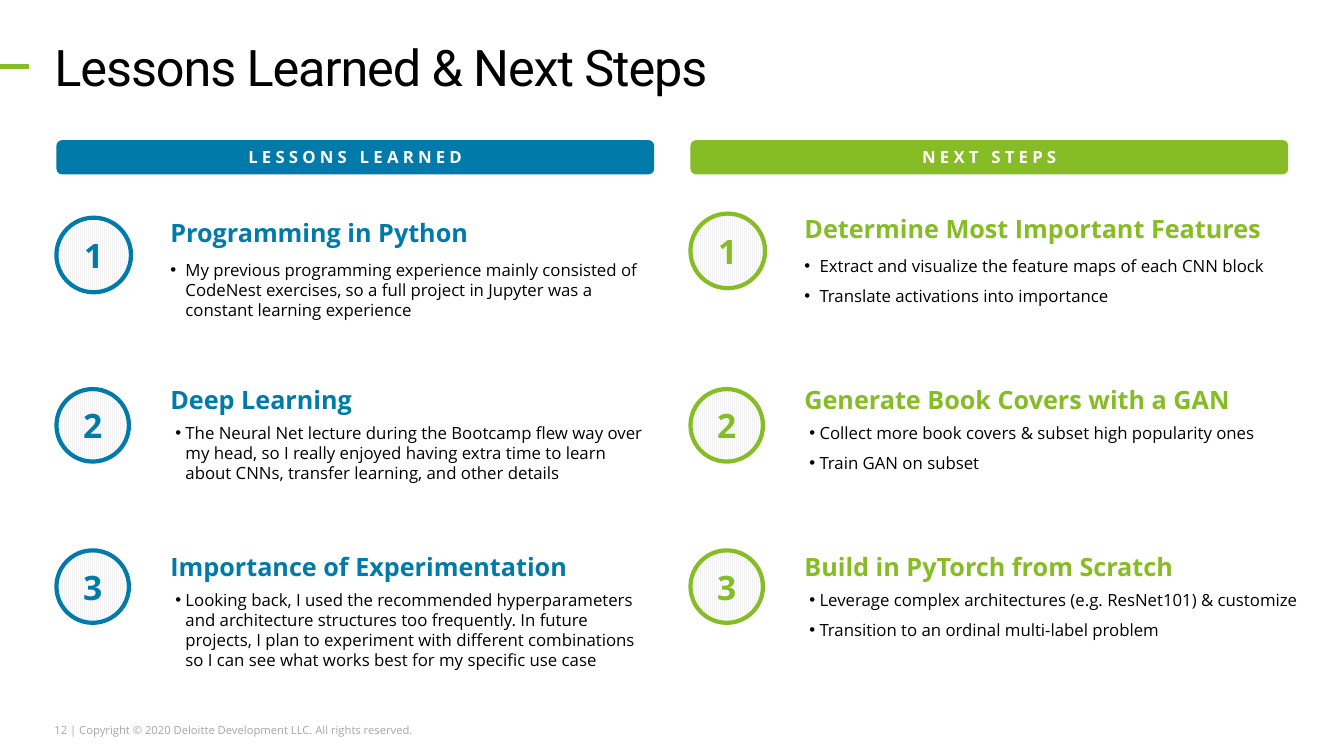
import pptx
import pptx.dml.color
import pptx.enum.dml
import pptx.enum.shapes
import pptx.enum.text
import pptx.oxml.xmlchemy
import pptx.util

Pt = pptx.util.Pt
RGBColor = pptx.dml.color.RGBColor
OxmlElement = pptx.oxml.xmlchemy.OxmlElement
Shape = pptx.enum.shapes.MSO_SHAPE
Anchor = pptx.enum.text.MSO_ANCHOR
Align = pptx.enum.text.PP_ALIGN

BLUE = RGBColor(0x00, 0x7A, 0xA8)
GREEN = RGBColor(0x86, 0xBC, 0x25)
BLACK = RGBColor(0x00, 0x00, 0x00)
WHITE = RGBColor(0xFF, 0xFF, 0xFF)
GREY = RGBColor(0xA6, 0xA6, 0xA6)
PALE = RGBColor(0xF2, 0xF2, 0xF2)

COLUMNS = [
    (40.3, BLUE, "LESSONS LEARNED", 345.6, [
        ("Programming in Python", [
            "My previous programming experience mainly consisted of CodeNest exercises, "
            "so a full project in Jupyter was a constant learning experience"]),
        ("Deep Learning", [
            "The Neural Net lecture during the Bootcamp flew way over my head, so I really "
            "enjoyed having extra time to learn about CNNs, transfer learning, and other details"]),
        ("Importance of Experimentation", [
            "Looking back, I used the recommended hyperparameters and architecture structures "
            "too frequently. In future projects, I plan to experiment with different "
            "combinations so I can see what works best for my specific use case"]),
    ]),
    (493.2, GREEN, "NEXT STEPS", 360, [
        ("Determine Most Important Features", [
            "Extract and visualize the feature maps of each CNN block",
            "Translate activations into importance"]),
        ("Generate Book Covers with a GAN", [
            "Collect more book covers & subset high popularity ones",
            "Train GAN on subset"]),
        ("Build in PyTorch from Scratch", [
            "Leverage complex architectures (e.g. ResNet101) & customize",
            "Transition to an ordinal multi-label problem"]),
    ]),
]
FIRST_ROW_TOPS = [155.5, 152.6]
LATER_ROWS = [(277.9, 273.6), (393.1, 393.1)]


class LessonsSlide:
    """Holds the text style and the current slide, and draws each kind of element."""

    body_font = "Open Sans"
    title_font = "Roboto"

    def __init__(self, deck):
        self.slide = deck.slides.add_slide(deck.slide_layouts[5])
        self.shapes = self.slide.shapes

    def frame(self, shape, anchor=Anchor.TOP, wrap=True):
        frame = shape.text_frame
        frame.margin_left = frame.margin_right = frame.margin_top = frame.margin_bottom = 0
        frame.auto_size = pptx.enum.text.MSO_AUTO_SIZE.NONE
        frame.vertical_anchor = anchor
        frame.word_wrap = wrap
        return frame

    def style(self, paragraph, size, color, bold=False, name=None, spacing=0):
        for run in paragraph.runs:
            font = run.font
            font.name = name or self.body_font
            font.size = Pt(size)
            font.bold = bold
            font.color.rgb = color
            if spacing:
                font._element.set("spc", str(spacing))

    def title(self, text):
        title = self.shapes.title
        title.left, title.top, title.width, title.height = Pt(38.9), Pt(25.9), Pt(882), Pt(43.9)
        frame = self.frame(title)
        frame.text = text
        frame.paragraphs[0].alignment = Align.LEFT
        self.style(frame.paragraphs[0], 36, BLACK, name=self.title_font, spacing=-80)

    def accent(self, y, length):
        accent = self.shapes.add_connector(
            pptx.enum.shapes.MSO_CONNECTOR.STRAIGHT, 0, Pt(y), Pt(length), Pt(y))
        accent.line.color.rgb = GREEN
        accent.line.width = Pt(4)
        accent._element.spPr.append(OxmlElement("a:effectLst"))

    def text(self, text, left, top, width, height, size, color, bold=False, wrap=True, leading=None):
        box = self.shapes.add_textbox(Pt(left), Pt(top), Pt(width), Pt(height))
        frame = self.frame(box, wrap=wrap)
        frame.text = text
        if leading:
            frame.paragraphs[0].line_spacing = leading
        self.style(frame.paragraphs[0], size, color, bold)

    def bullets(self, lines, left, top, width, hang):
        box = self.shapes.add_textbox(Pt(left), Pt(top), Pt(width), Pt(44))
        frame = self.frame(box)
        frame.text = "\n".join(lines)
        for index, paragraph in enumerate(frame.paragraphs):
            properties = paragraph._p.get_or_add_pPr()
            properties.set("marL", str(Pt(10.8)))
            properties.set("indent", str(-Pt(hang)))
            bullet_font = OxmlElement("a:buFont")
            bullet_font.set("typeface", "Arial")
            bullet = OxmlElement("a:buChar")
            bullet.set("char", "•")
            properties.extend([bullet_font, bullet])
            if index:
                paragraph.space_before = Pt(1)
            paragraph.space_after = Pt(6)
            self.style(paragraph, 12, BLACK)

    def label(self, kind, text, left, top, width, height, size, color, spacing=0):
        shape = self.shapes.add_shape(kind, Pt(left), Pt(top), Pt(width), Pt(height))
        shape.shadow.inherit = False
        frame = self.frame(shape, Anchor.MIDDLE)
        frame.text = text
        frame.paragraphs[0].alignment = Align.CENTER
        self.style(frame.paragraphs[0], size, color, True, spacing=spacing)
        return shape

    def header(self, text, left, color):
        header = self.label(Shape.ROUNDED_RECTANGLE, text, left, 100.1, 427, 24.5, 12, WHITE, 300)
        header.fill.solid()
        header.fill.fore_color.rgb = color
        header.line.fill.background()

    def badge(self, number, left, top, diameter, color):
        badge = self.label(Shape.OVAL, str(number), left, top, diameter, diameter, 24, color)
        badge.fill.patterned()
        badge.fill.pattern = pptx.enum.dml.MSO_PATTERN.LIGHT_VERTICAL
        badge.fill.fore_color.rgb = PALE
        badge.fill.back_color.rgb = WHITE
        badge.line.color.rgb = color
        badge.line.width = Pt(3)


def main():
    deck = pptx.Presentation()
    deck.slide_width, deck.slide_height = Pt(960), Pt(540)
    lessons = LessonsSlide(deck)
    lessons.text("12 | Copyright © 2020 Deloitte Development LLC. All rights reserved.",
                 38.9, 517, 263.5, 9.4, 8, GREY, wrap=False)
    lessons.accent(47.5, 20.9)
    lessons.title("Lessons Learned & Next Steps")
    for (left, color, header, body_width, topics), first_top in zip(COLUMNS, FIRST_ROW_TOPS):
        lessons.header(header, left, color)
        rows = [(first_top, first_top)] + LATER_ROWS
        text_left = left + 81.4
        for number, ((heading, lines), (badge_top, top)) in enumerate(zip(topics, rows), 1):
            first = number == 1
            lessons.badge(number, left, badge_top, 53.3 if first else 51.8, color)
            lessons.text(heading, text_left, top, 352, 21.6, 18, color, True,
                         leading=None if first else 1.04)
            lessons.bullets(lines, text_left, top + (30 if first else 28.1), body_width,
                            10.8 if first else 7.2)
    deck.save("out.pptx")


if __name__ == "__main__":
    main()
